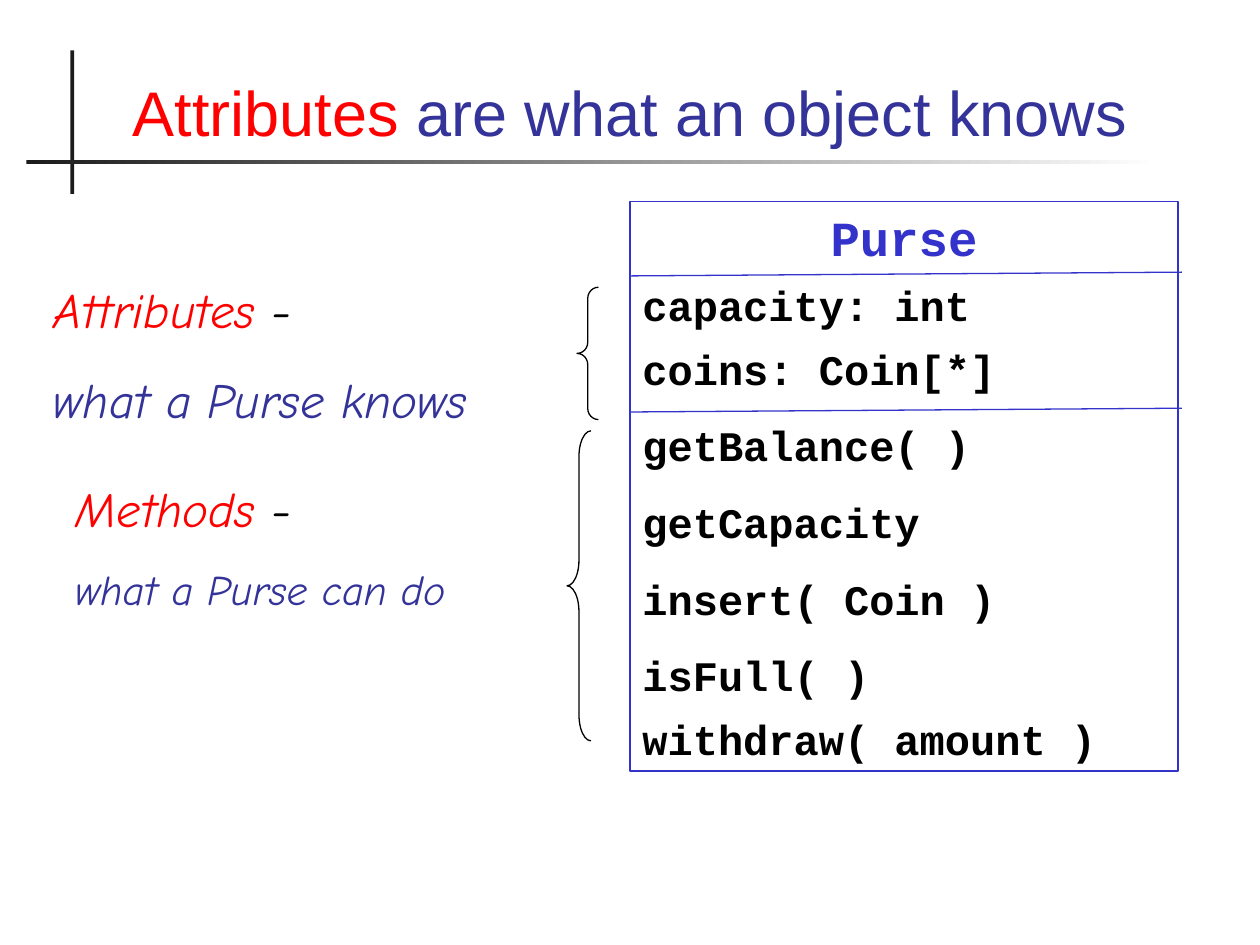
from pptx import Presentation
from pptx.dml.color import RGBColor
from pptx.enum.shapes import MSO_CONNECTOR, MSO_SHAPE
from pptx.enum.text import MSO_ANCHOR, PP_ALIGN
from pptx.oxml.ns import qn
from pptx.util import Inches, Pt
from lxml import etree

CENTER, LEFT = PP_ALIGN.CENTER, PP_ALIGN.LEFT
TOP, BOTTOM = MSO_ANCHOR.TOP, MSO_ANCHOR.BOTTOM
RECTANGLE, LEFT_BRACE = MSO_SHAPE.RECTANGLE, MSO_SHAPE.LEFT_BRACE
STRAIGHT = MSO_CONNECTOR.STRAIGHT

RED, NAVY, BLUE, BLACK, DARK, WHITE = (
    "FF0000", "333399", "3333CC", "000000", "1C1C1C", "FFFFFF")

# A paragraph is (space before, size, [(text, colour), ...])
TITLE = [(0, 36, [("Attributes ", RED), ("are what an object knows", NAVY)])]
ATTRIBUTES_NOTE = [
    (0, 28, [("Attributes", RED), (" -", BLACK)]),
    (17.5, 28, [("what a Purse knows", NAVY)]),
]
METHODS_NOTE = [
    (0, 28, [("Methods", RED), (" -", BLACK)]),
    (15, 24, [("what a Purse can do", NAVY)]),
]
CLASS_NAME = "Purse"
MEMBERS = [
    ("capacity: int", 7.5), ("coins: Coin[*]", 7.5),
    ("getBalance( )", 15), ("getCapacity", 15), ("insert( Coin )", 15),
    ("isFull( )", 15), ("withdraw( amount )", 7.5),
]

CLASS_BOX = (5, 1.6, 4.35, 4.52)
DIVIDER_TOPS = [2.16, 3.24]
DIVIDER_END, DIVIDER_RISE = 9.38, 0.03
# Place, and corner height as a share of the brace's width
BRACES = [((4.5, 3.42, 0.19, 2.46), 1.08), ((4.58, 2.28, 0.17, 1.05), 0.52)]


def color(hex_string):
    return RGBColor.from_string(hex_string)


def add_shape(page, kind, place, fill=None, line=None):
    shape = page.shapes.add_shape(kind, *map(Inches, place))
    shape.shadow.inherit = False
    if fill:
        shape.fill.solid()
        shape.fill.fore_color.rgb = color(fill)
    else:
        shape.fill.background()
    if line:
        shape.line.color.rgb = color(line)
        shape.line.width = Pt(0.75)
    else:
        shape.line.fill.background()
    return shape


def write(box, paragraphs, font, align=LEFT, anchor=TOP, bold=False, italic=False):
    frame = box.text_frame
    frame.word_wrap = True
    frame.vertical_anchor = anchor
    for index, (space, size, spans) in enumerate(paragraphs):
        para = frame.add_paragraph() if index else frame.paragraphs[0]
        para.alignment = align
        if space:
            para.space_before = Pt(space)
        for text, hex_string in spans:
            span = para.add_run()
            span.text = text
            span.font.name = font
            span.font.size = Pt(size)
            span.font.bold = bold
            span.font.italic = italic
            span.font.color.rgb = color(hex_string)


def add_text(page, place, paragraphs, font, **style):
    write(page.shapes.add_textbox(*map(Inches, place)), paragraphs, font, **style)


def add_title(page):
    add_shape(page, RECTANGLE, (0.56, 0.4, 0.03, 1.14), fill=DARK)
    rule = add_shape(page, RECTANGLE, (0.21, 1.27, 8.99, 0.03))
    rule.fill.gradient()
    rule.fill.gradient_angle = 0
    for stop, hex_string in zip(rule.fill.gradient_stops, (DARK, WHITE)):
        stop.color.rgb = color(hex_string)
    add_text(page, (0.67, 0.28, 8.66, 0.95), TITLE, "Arial",
             align=CENTER, anchor=BOTTOM)


def add_class_diagram(page):
    box = add_shape(page, RECTANGLE, CLASS_BOX, line=BLUE)
    paragraphs = [(0, 28, [(CLASS_NAME, BLUE)])]
    paragraphs += [(space, 24, [(text, BLACK)]) for text, space in MEMBERS]
    write(box, paragraphs, "Courier New", bold=True)
    box.text_frame.paragraphs[0].alignment = CENTER
    for top in DIVIDER_TOPS:
        ends = (CLASS_BOX[0], top + DIVIDER_RISE, DIVIDER_END, top)
        divider = page.shapes.add_connector(STRAIGHT, *map(Inches, ends))
        divider.line.color.rgb = color(BLUE)
        divider.line.width = Pt(0.75)
        etree.SubElement(divider._element.spPr, qn("a:effectLst"))
    for place, corner in BRACES:
        brace = add_shape(page, LEFT_BRACE, place, line=BLACK)
        brace.adjustments[0] = corner


def main():
    deck = Presentation()
    deck.slide_width, deck.slide_height = Inches(10), Inches(7.5)
    page = deck.slides.add_slide(deck.slide_layouts[6])
    add_title(page)
    add_class_diagram(page)
    add_text(page, (0.33, 2.17, 4.24, 1.28), ATTRIBUTES_NOTE, "Comic Neue", italic=True)
    add_text(page, (0.5, 3.75, 3.43, 1.18), METHODS_NOTE, "Comic Neue", italic=True)
    deck.save("out.pptx")


if __name__ == "__main__":
    main()
